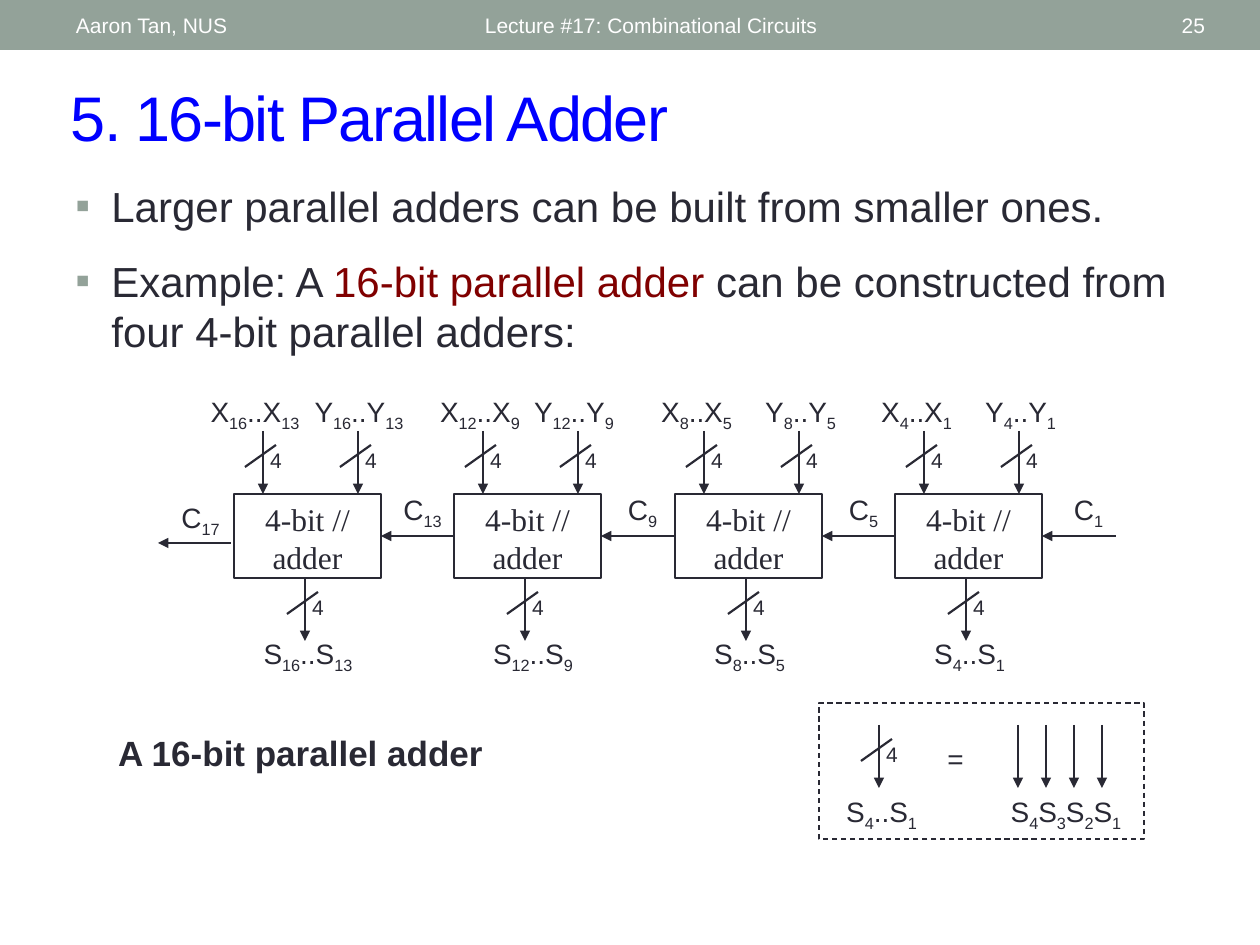
from lxml import etree
from pptx import Presentation, util as u
from pptx.dml.color import RGBColor
from pptx.enum import dml, shapes, text
from pptx.oxml import ns

PX = 914400 / 126
SAGE = RGBColor(0x93, 0xA2, 0x99)
INK = RGBColor(0x29, 0x29, 0x34)
BLUE = RGBColor(0x00, 0x00, 0xFF)
MAROON = RGBColor(0x80, 0x00, 0x00)
WHITE = RGBColor(0xFF, 0xFF, 0xFF)
LEFT, CENTER, RIGHT = text.PP_ALIGN.LEFT, text.PP_ALIGN.CENTER, text.PP_ALIGN.RIGHT
TOP, MIDDLE = text.MSO_ANCHOR.TOP, text.MSO_ANCHOR.MIDDLE

BOX_TOP, BOX_WIDTH, BOX_HEIGHT = 494, 147, 84
WIRE_LENGTH = 63
STAGES = [
    (16, 13, 126, 0, 5),
    (12, 9, 116, 5, 5),
    (8, 5, 105, 0, 5),
    (4, 1, 105, 0, 10),
]


def px(*values):
    return [u.Emu(round(value * PX)) for value in values]


def style(paragraph, size, color=INK, name="Arial", align=LEFT, bold=False):
    paragraph.alignment = align
    font = paragraph.font
    font.size, font.name, font.bold = u.Pt(size), name, bold
    font.color.rgb = color


def add_text(slide, bounds, content, size, color=INK, align=LEFT,
             anchor=TOP, margin=13, bold=False, spacing=None):
    frame = slide.shapes.add_textbox(*px(*bounds)).text_frame
    frame.word_wrap = True
    frame.vertical_anchor = anchor
    frame.margin_left, frame.margin_right = px(margin, margin)
    paragraph = frame.paragraphs[0]
    for index, part in enumerate(content.split("|")):
        if part:
            run = paragraph.add_run()
            run.text = part
            properties = run._r.get_or_add_rPr()
            if index % 2:
                properties.set("baseline", "-25000")
            if spacing:
                properties.set("spc", str(spacing))
    style(paragraph, size, color, align=align, bold=bold)


def add_label(slide, left, top, width, content, size=16):
    add_text(slide, (left, top, width, 47), content, size, align=CENTER, margin=1)


def add_rectangle(slide, bounds, fill=None, line_width=None):
    shape = slide.shapes.add_shape(shapes.MSO_SHAPE.RECTANGLE, *px(*bounds))
    shape.shadow.inherit = False
    if fill is None:
        shape.fill.background()
    else:
        shape.fill.solid()
        shape.fill.fore_color.rgb = fill
    if line_width is None:
        shape.line.fill.background()
    else:
        shape.line.color.rgb = INK
        shape.line.width = u.Pt(line_width)
    return shape


def add_line(slide, start, end, arrow=True):
    line = slide.shapes.add_connector(shapes.MSO_CONNECTOR.STRAIGHT, *px(*start, *end))
    line.line.color.rgb = INK
    line.line.width = u.Pt(1.25)
    if arrow:
        etree.SubElement(line.line._get_or_add_ln(), ns.qn("a:tailEnd"), type="triangle")
    etree.SubElement(line._element.spPr, ns.qn("a:effectLst"))
    return line


def add_bus(slide, x, top):
    add_line(slide, (x, top), (x, top + WIRE_LENGTH))
    add_line(slide, (x + 13, top + 14), (x - 18, top + 36), arrow=False)
    add_label(slide, x - 8, top + 10, 42, "4", 12)


def add_adder(slide, left):
    shape = add_rectangle(slide, (left, BOX_TOP, BOX_WIDTH, BOX_HEIGHT), line_width=1.5)
    frame = shape.text_frame
    frame.word_wrap = True
    frame.vertical_anchor = TOP
    frame.text = "4-bit // adder"
    style(frame.paragraphs[0], 18, name="Times New Roman", align=CENTER)
    return shape


def add_header(slide):
    add_rectangle(slide, (0, 0, 1260, 50), fill=SAGE)
    for left, width, content, align in [
        (63, 399, "Aaron Tan, NUS", LEFT),
        (472, 567, "Lecture #17: Combinational Circuits", LEFT),
        (1099, 119, "25", RIGHT),
    ]:
        add_text(slide, (left, 3, width, 45), content, 12, WHITE, align, MIDDLE)


def add_bullets(slide):
    frame = slide.shapes.add_textbox(*px(63, 174, 1134, 624)).text_frame
    frame.word_wrap = True
    bullets = [
        [("Larger parallel adders can be built from smaller ones.", INK)],
        [("Example: A ", INK), ("16-bit parallel adder", MAROON),
         (" can be constructed from four 4-bit parallel adders:", INK)],
    ]
    for index, parts in enumerate(bullets):
        paragraph = frame.add_paragraph() if index else frame.paragraphs[0]
        if index:
            paragraph.space_before = u.Pt(14)
        properties = paragraph._p.get_or_add_pPr()
        indent = px(36)[0]
        properties.set("marL", str(indent))
        properties.set("indent", str(-indent))
        bullet_color = etree.SubElement(properties, ns.qn("a:buClr"))
        etree.SubElement(bullet_color, ns.qn("a:srgbClr"), val=str(SAGE))
        etree.SubElement(properties, ns.qn("a:buFont"), typeface="Arial")
        etree.SubElement(properties, ns.qn("a:buChar"), char="▪")
        for content, color in parts:
            run = paragraph.add_run()
            run.text = content
            if color != INK:
                run.font.color.rgb = color
        style(paragraph, 24)


def add_circuit(slide):
    middle = BOX_TOP + BOX_HEIGHT // 2
    lefts = [234 + 441 * index // 2 for index in range(len(STAGES))]
    adders = [add_adder(slide, left) for left in lefts]
    for index, (high, low, width, shift, carry_gap) in enumerate(STAGES):
        left = lefts[index]
        right = left + BOX_WIDTH
        for letter, wire, center, top, label_top in [
            ("X", 29, 21 + shift, BOX_TOP - WIRE_LENGTH, 388),
            ("Y", 124, 125 - shift, BOX_TOP - WIRE_LENGTH, 388),
            ("S", 71, 74 + shift, BOX_TOP + BOX_HEIGHT, 630),
        ]:
            add_bus(slide, left + wire, top)
            add_label(slide, left + center - width // 2, label_top, width,
                      f"{letter}|{high}|..{letter}|{low}")
        last = index == len(STAGES) - 1
        start = 1116 if last else lefts[index + 1]
        carry = add_line(slide, (start, middle), (right, middle))
        if not last:
            carry.begin_connect(adders[index + 1], 1)
        carry.end_connect(adders[index], 3)
        add_label(slide, right + carry_gap, 486, 73, f"C|{low}")
    add_line(slide, (231, 543), (158, 543))
    add_label(slide, 164, 494, 73, "C|17")


def add_legend(slide):
    frame = add_rectangle(slide, (819, 703, 325, 136), line_width=0.75)
    frame.line.dash_style = dml.MSO_LINE.DASH
    add_bus(slide, 879, 725)
    add_label(slide, 829, 788, 105, "S|4|..S|1")
    add_label(slide, 924, 735, 63, "=")
    for index in range(4):
        x = 1018 + 28 * index
        add_line(slide, (x, 725), (x, 725 + WIRE_LENGTH))
    add_label(slide, 998, 788, 136, "S|4|S|3|S|2|S|1")


def main():
    presentation = Presentation()
    presentation.slide_width, presentation.slide_height = px(1260, 945)
    slide = presentation.slides.add_slide(presentation.slide_layouts[6])
    add_header(slide)
    add_text(slide, (58, 72, 1160, 88), "5. 16-bit Parallel Adder", 36, BLUE,
             anchor=MIDDLE, spacing=-100)
    add_bullets(slide)
    add_circuit(slide)
    add_text(slide, (105, 725, 399, 54), "A 16-bit parallel adder", 20, bold=True)
    add_legend(slide)
    presentation.save("out.pptx")


if __name__ == "__main__":
    main()
